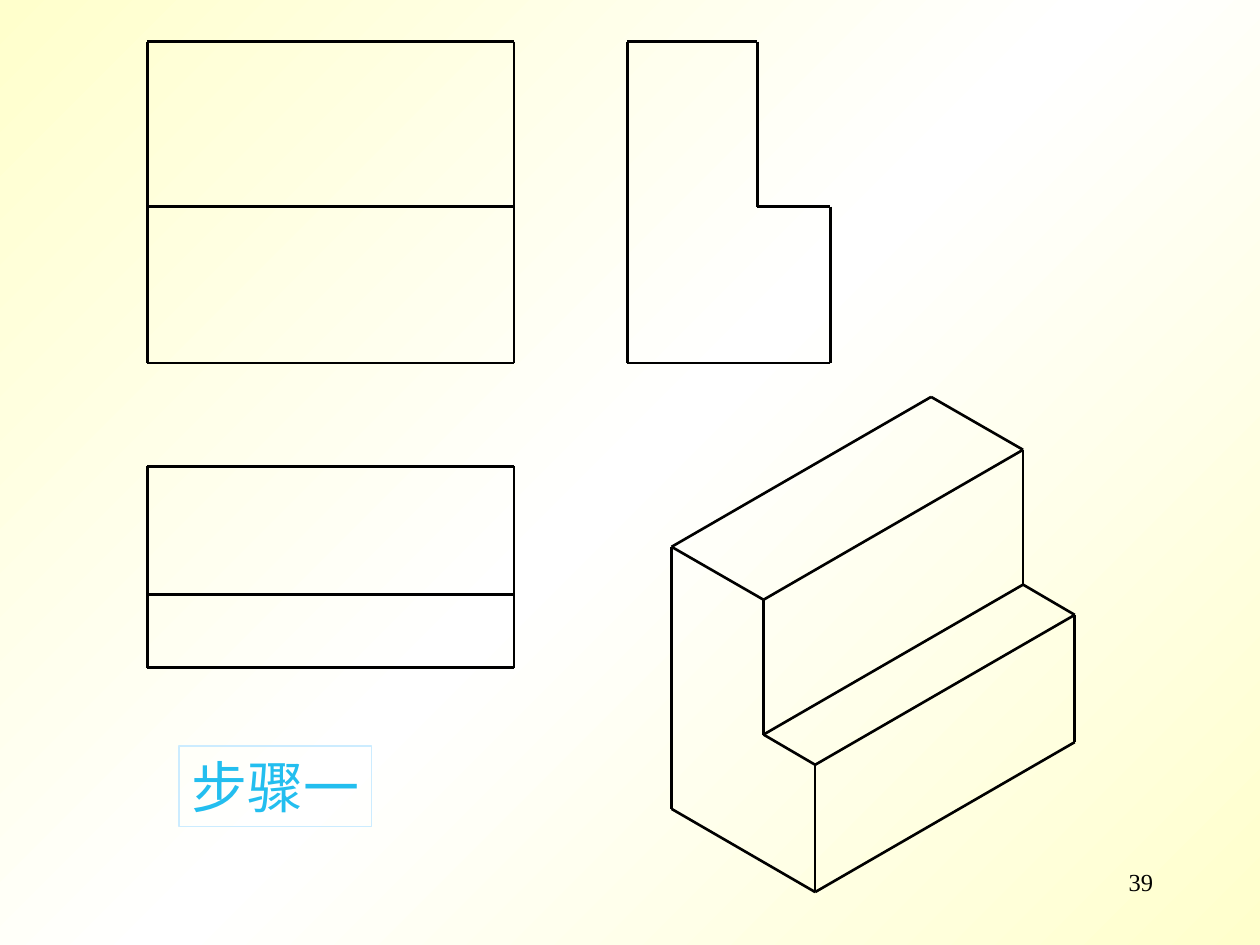
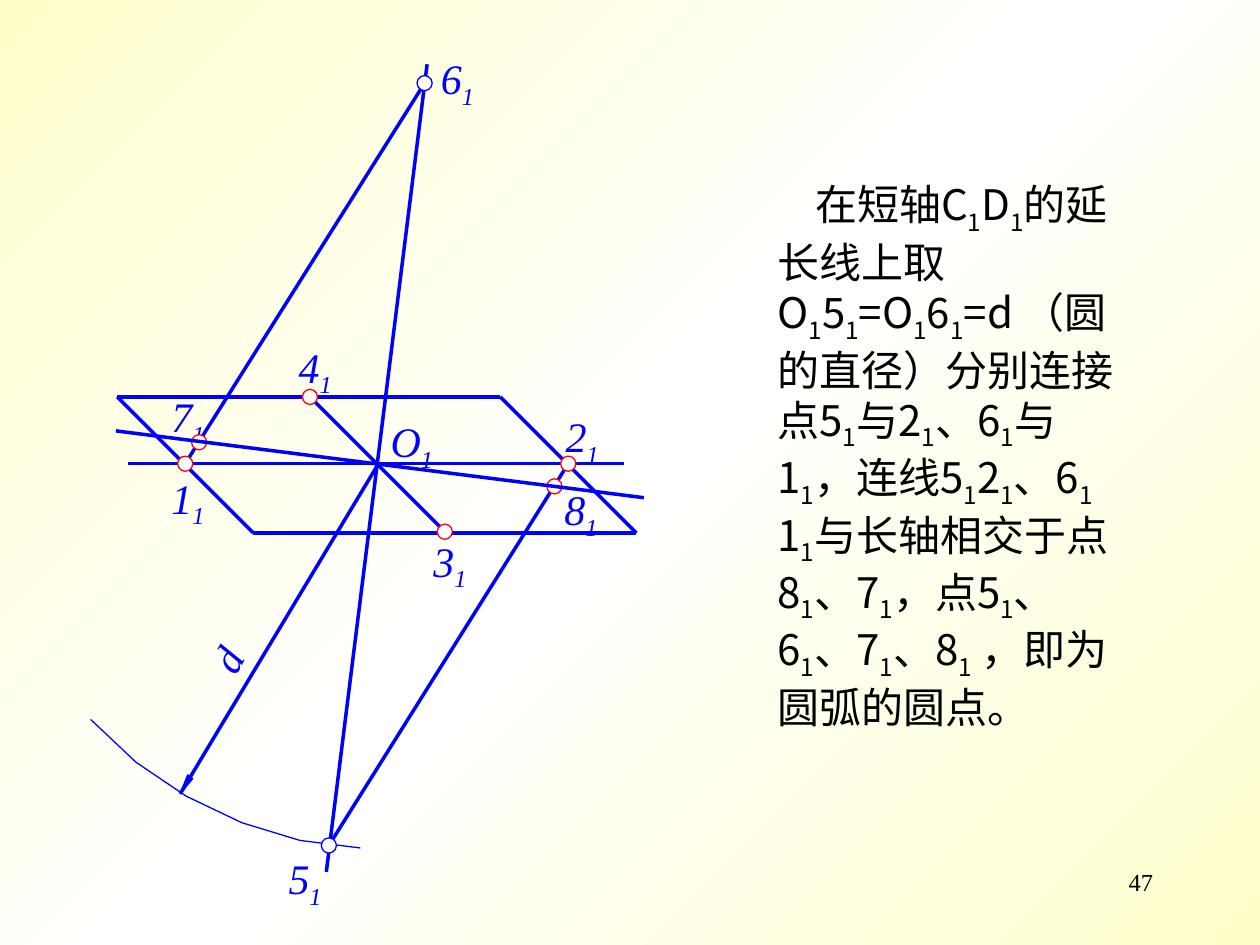
import copy
from dataclasses import dataclass
from itertools import pairwise

import pptx
import pptx.dml.color
import pptx.enum.shapes
import pptx.enum.text
import pptx.oxml.ns
import pptx.util
from lxml import etree

Inches = pptx.util.Inches
Pt = pptx.util.Pt
qn = pptx.oxml.ns.qn
Align = pptx.enum.text.PP_ALIGN


@dataclass(frozen=True)
class Theme:
    cream: str = "FFFFCC"
    white: str = "FFFFFF"
    black: str = "000000"
    blue: str = "0000FF"
    red: str = "FF0000"
    step: str = "23BEEF"
    step_border: str = "CCECFF"
    serif: str = "Times New Roman"
    sans: str = "Noto Sans CJK SC"
    number_size: int = 14
    body_size: int = 24
    step_size: int = 32
    edge: float = 1.5
    hairline: float = 0


THEME = Theme()
NUMBER_BOX = (7.17, 6.83, 2.08, 0.5)
INSETS = (0.1, 0.05)

STEP_TEXT = "步骤一"
STEP_BOX = (1.42, 5.92, 1.53, 0.64)
VIEW_X = (1.17, 4.08)
VIEW_ROWS = [(0.33, 1.64, 2.88), (3.7, 4.72, 5.3)]
SIDE_VIEW = [(4.98, 0.33), (6.01, 0.33), (6.01, 1.64),
             (6.59, 1.64), (6.59, 2.88), (4.98, 2.88)]
SOLID_FRONT = [(5.33, 4.34), (6.06, 4.76), (6.06, 5.83),
               (6.47, 6.07), (6.47, 7.08), (5.33, 6.42)]
SOLID_DEPTH = (2.06, -1.19)

EXPLANATION = ("在短轴C_1D_1的延长线上取O_15_1=O_16_1=d （圆的直径）分别连接点"
               "5_1与2_1、6_1与1_1，连线5_12_1、6_1 1_1与长轴相交于点8_1、7_1，"
               "点5_1、 6_1、7_1、8_1 ，即为圆弧的圆点。")
EXPLANATION_BOX = (6.17, 1.42, 2.83, 4.79)
EXPLANATION_INDENT = 0.3

POINTS = {
    "1": (1.47, 3.68), "2": (4.51, 3.68), "3": (3.53, 4.22), "4": (2.46, 3.15),
    "5": (2.61, 6.71), "6": (3.37, 0.66), "7": (1.58, 3.51), "8": (4.4, 3.86),
}
LABELS = {
    "1": (1.36, 3.75), "2": (4.49, 3.26), "3": (3.44, 4.25), "4": (2.37, 2.71),
    "5": (2.29, 6.77), "6": (3.5, 0.42), "7": (1.36, 3.1), "8": (4.48, 3.84),
    "O": (3.1, 3.3),
}
LABEL_SIZE = (0.46, 0.46)
POINT_RADIUS = 0.06
CENTRE = (3.01, 3.67)
ARROW_TIP = (1.43, 6.3)
ARROW_HEAD = [ARROW_TIP, (1.49, 6.15), (1.53, 6.18)]
ARC = [(0.72, 5.71), (1.08, 6.05), (1.48, 6.32),
       (1.92, 6.53), (2.38, 6.67), (2.86, 6.73)]
DIAMETER_BOX = (1.58, 4.92, 0.5, 0.5)
DIAMETER_ROTATION = 299
SHORT_AXIS = [(3.39, 0.51), (2.59, 6.92)]
LONG_AXIS = [(0.92, 3.42), (5.11, 3.95)]
HORIZONTAL_AXIS = [(1.02, 3.68), (4.95, 3.68)]
PARALLELOGRAM = [(0.93, 3.15), (3.97, 3.15), (5.05, 4.23), (2.01, 4.23)]


def rgb(value):
    return pptx.dml.color.RGBColor.from_string(value)


def closed(points):
    return [*points, points[0]]


def paint_background(master):
    fill = master.background.fill
    fill.gradient()
    fill.gradient_angle = 315
    stops = master.element.find(".//" + qn("a:gsLst"))
    stops.append(copy.deepcopy(stops[0]))
    colors = (THEME.cream, THEME.white, THEME.cream)
    for stop, position, color in zip(fill.gradient_stops, (0, 0.5, 1), colors):
        stop.position = position
        stop.color.rgb = rgb(color)


def draw_lines(page, points, color, width):
    for start, end in pairwise(points):
        line = page.shapes.add_connector(
            pptx.enum.shapes.MSO_CONNECTOR.STRAIGHT,
            *map(Inches, (*start, *end)))
        line.line.color.rgb = rgb(color)
        line.line.width = Pt(width)
        properties = line._element.find(qn("p:spPr"))
        etree.SubElement(properties, qn("a:effectLst"))


def style_shape(shape, line_color, fill_color=None):
    shape.shadow.inherit = False
    if fill_color:
        shape.fill.solid()
        shape.fill.fore_color.rgb = rgb(fill_color)
    else:
        shape.fill.background()
    shape.line.color.rgb = rgb(line_color)
    shape.line.width = Pt(THEME.hairline)


def draw_freeform(page, points, close, fill_color=None):
    corners = [tuple(map(Inches, point)) for point in points]
    builder = page.shapes.build_freeform(*corners[0])
    builder.add_line_segments(corners[1:], close=close)
    style_shape(builder.convert_to_shape(), THEME.blue, fill_color)


def write(box, text, size, color, font=THEME.serif, align=Align.LEFT,
          italic=False, insets=(0, 0), wrap=True, indent=0):
    frame = box.text_frame
    frame.word_wrap = wrap
    frame.margin_left = frame.margin_right = Inches(insets[0])
    frame.margin_top = frame.margin_bottom = Inches(insets[1])
    para = frame.paragraphs[0]
    para.alignment = align
    if indent:
        para._p.get_or_add_pPr().set("indent", str(Inches(indent)))
    para.font.name = font
    para.font.size = Pt(size)
    para.font.italic = italic
    para.font.color.rgb = rgb(color)
    defaults = para._p.find(".//" + qn("a:defRPr"))
    etree.SubElement(defaults, qn("a:ea")).set("typeface", THEME.sans)
    first, *rest = text.split("_")
    para.add_run().text = first
    for part in rest:
        span = para.add_run()
        span.text = part[0]
        span._r.get_or_add_rPr().set("baseline", "-25000")
        if part[1:]:
            para.add_run().text = part[1:]


def add_text(page, place, text, size, color, **options):
    box = page.shapes.add_textbox(*map(Inches, place))
    write(box, text, size, color, **options)
    return box


def add_page(deck, number):
    page = deck.slides.add_slide(deck.slide_layouts[6])
    add_text(page, NUMBER_BOX, number, THEME.number_size, THEME.black,
             align=Align.RIGHT, insets=INSETS)
    return page


def mark_points(page, names, color):
    for name in names:
        x, y = POINTS[name]
        place = (x - POINT_RADIUS, y - POINT_RADIUS,
                 2 * POINT_RADIUS, 2 * POINT_RADIUS)
        mark = page.shapes.add_shape(
            pptx.enum.shapes.MSO_SHAPE.OVAL, *map(Inches, place))
        style_shape(mark, color, THEME.white)


def build_views(deck):
    page = add_page(deck, "39")
    left, right = VIEW_X
    outlines = [closed(SIDE_VIEW), closed(SOLID_FRONT)]
    for top, middle, bottom in VIEW_ROWS:
        outlines.append(closed([(left, top), (right, top),
                                (right, bottom), (left, bottom)]))
        outlines.append([(left, middle), (right, middle)])
    visible = SOLID_FRONT[:-1]
    back = [(x + SOLID_DEPTH[0], y + SOLID_DEPTH[1]) for x, y in visible]
    outlines += [back, *zip(visible, back)]
    for outline in outlines:
        draw_lines(page, outline, THEME.black, THEME.edge)

    step = page.shapes.add_shape(
        pptx.enum.shapes.MSO_SHAPE.RECTANGLE, *map(Inches, STEP_BOX))
    style_shape(step, THEME.step_border)
    write(step, STEP_TEXT, THEME.step_size, THEME.step,
          align=Align.CENTER, insets=INSETS, wrap=False)


def build_construction(deck):
    page = add_page(deck, "47")
    for points in (SHORT_AXIS, [POINTS["5"], POINTS["2"]],
                   [POINTS["6"], POINTS["1"]], [CENTRE, ARROW_TIP]):
        draw_lines(page, points, THEME.blue, THEME.hairline)
    draw_freeform(page, ARROW_HEAD, True, THEME.blue)
    draw_freeform(page, ARC, False)
    for name, corner in LABELS.items():
        add_text(page, (*corner, *LABEL_SIZE), f"{name}_1",
                 THEME.body_size, THEME.blue, italic=True)
    diameter = add_text(page, DIAMETER_BOX, "d", THEME.body_size, THEME.blue,
                        italic=True, insets=INSETS)
    diameter.rotation = DIAMETER_ROTATION
    mark_points(page, "56", THEME.blue)
    mark_points(page, "78", THEME.red)
    for points in (LONG_AXIS, HORIZONTAL_AXIS, closed(PARALLELOGRAM),
                   [POINTS["4"], POINTS["3"]]):
        draw_lines(page, points, THEME.blue, THEME.hairline)
    mark_points(page, "1234", THEME.red)
    add_text(page, EXPLANATION_BOX, EXPLANATION, THEME.body_size, THEME.black,
             font=THEME.sans, indent=EXPLANATION_INDENT)


def main():
    deck = pptx.Presentation()
    deck.slide_width, deck.slide_height = Inches(10), Inches(7.5)
    paint_background(deck.slide_master)
    build_views(deck)
    build_construction(deck)
    deck.save("out.pptx")


if __name__ == "__main__":
    main()
